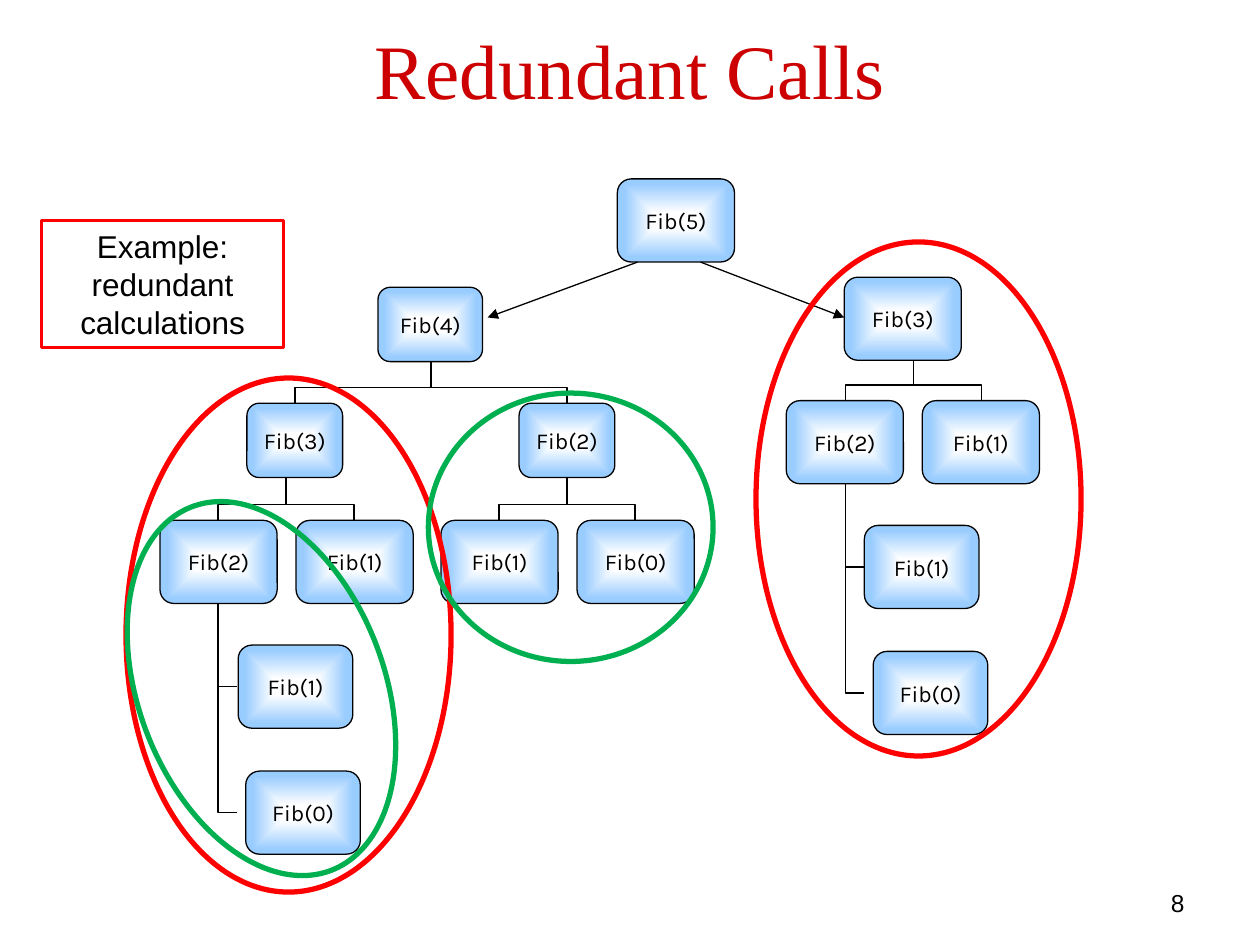
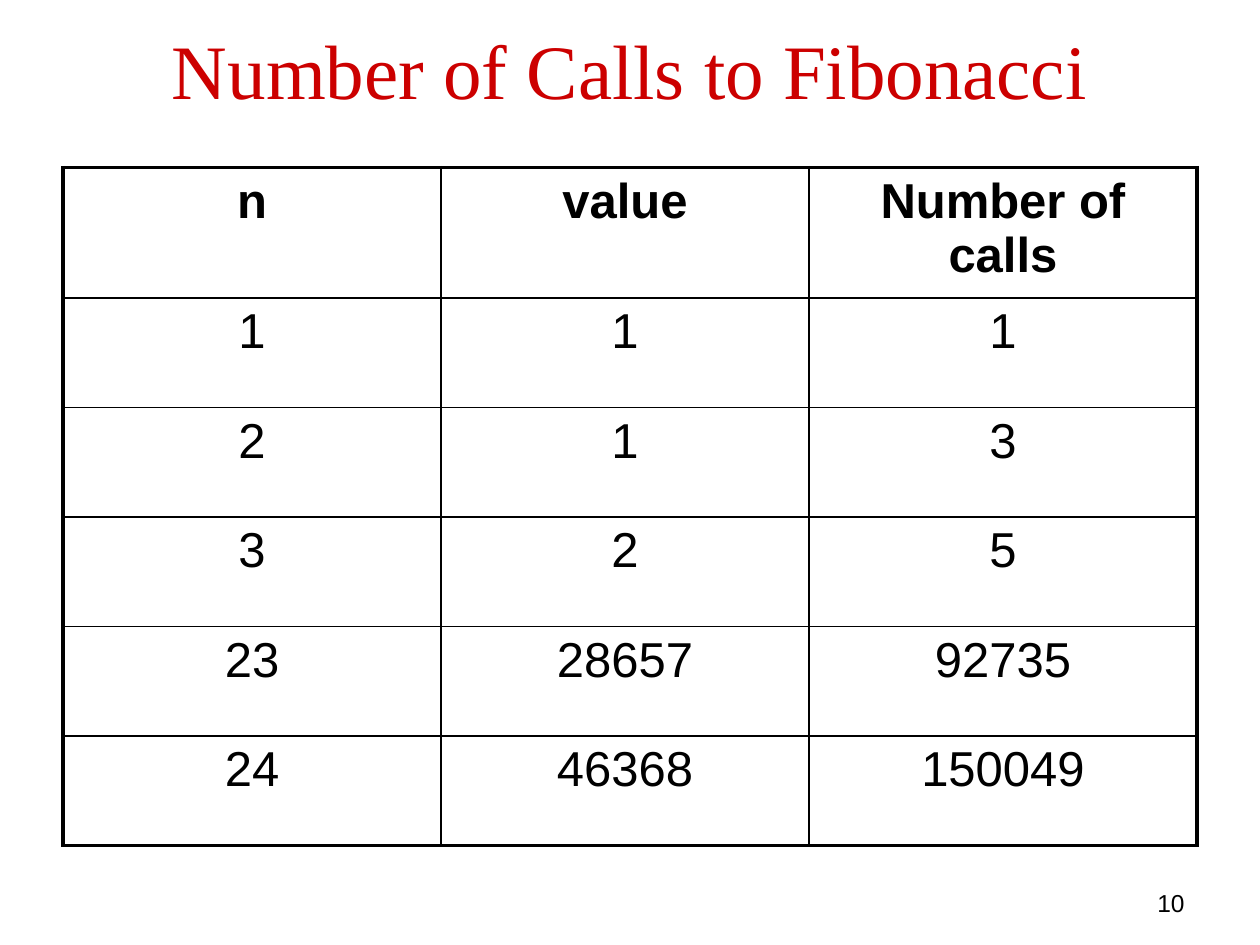
from dataclasses import dataclass

from lxml import etree
from pptx import Presentation
from pptx.dml.color import RGBColor
from pptx.enum.shapes import MSO_CONNECTOR, MSO_SHAPE
from pptx.enum.text import MSO_ANCHOR, MSO_AUTO_SIZE, PP_ALIGN
from pptx.oxml import parse_xml
from pptx.oxml.ns import nsdecls, qn
from pptx.util import Inches, Pt

STRAIGHT, ELBOW = MSO_CONNECTOR.STRAIGHT, MSO_CONNECTOR.ELBOW
OVAL, RECT, ROUNDED = MSO_SHAPE.OVAL, MSO_SHAPE.RECTANGLE, MSO_SHAPE.ROUNDED_RECTANGLE
CENTER, RIGHT = PP_ALIGN.CENTER, PP_ALIGN.RIGHT
MIDDLE = MSO_ANCHOR.MIDDLE
GROW = MSO_AUTO_SIZE.SHAPE_TO_FIT_TEXT
TITLE_ONLY = 5


@dataclass(frozen=True)
class Theme:
    title_color: str = "CC0000"
    ink: str = "000000"
    white: str = "FFFFFF"
    node: str = "99CCFF"
    red: str = "FF0000"
    green: str = "00B050"
    title_font: str = "Times New Roman"
    body_font: str = "Arial"
    node_font: str = "Karla"
    title_size: float = 44
    table_size: float = 28
    callout_size: float = 18
    number_size: float = 14
    node_size: float = 13
    thin: float = 0.75
    grid: float = 1
    frame: float = 2.25
    callout_line: float = 2
    ring_line: float = 3


@dataclass(frozen=True)
class Box:
    left: float
    top: float
    width: float
    height: float

    def emu(self) -> tuple:
        return tuple(Inches(v) for v in (self.left, self.top, self.width, self.height))


@dataclass(frozen=True)
class Node:
    n: int
    box: Box


@dataclass(frozen=True)
class Fork:
    x: float
    top: float
    bottom: float
    spread: float


@dataclass(frozen=True)
class Ring:
    box: Box
    color: str
    rotation: float = 0


T = Theme()

TITLE_BOX = Box(0.5, -0.08, 9, 1.25)
NUMBER_BOX = Box(7.17, 7, 2.33, 0.25)
CALLOUT_BOX = Box(0.33, 1.75, 1.92, 1.01)
TABLE_BOX = Box(0.5, 1.33, 9, 5.22)
COLUMNS = (3, 2.92, 3.08)

W, H, LEAF_W = 0.93, 0.66, 0.91
NODES = (
    Node(4, Box(3, 2.28, 0.83, 0.59)),
    Node(3, Box(1.96, 3.2, 0.76, 0.59)),
    Node(2, Box(4.12, 3.2, 0.76, 0.59)),
    Node(2, Box(1.27, 4.13, W, H)),
    Node(1, Box(2.35, 4.13, W, H)),
    Node(1, Box(3.5, 4.13, W, H)),
    Node(0, Box(4.58, 4.13, W, H)),
    Node(1, Box(1.89, 5.12, LEAF_W, H)),
    Node(0, Box(1.95, 6.12, LEAF_W, H)),
    Node(5, Box(4.9, 1.42, W, H)),
    Node(3, Box(6.7, 2.2, W, H)),
    Node(2, Box(6.24, 3.18, W, H)),
    Node(1, Box(7.32, 3.18, W, H)),
    Node(1, Box(6.86, 4.17, LEAF_W, H)),
    Node(0, Box(6.93, 5.17, LEAF_W, H)),
)
FORKS = (
    Fork(3.42, 2.87, 3.2, 1.08),
    Fork(2.27, 3.79, 4.13, 0.54),
    Fork(4.5, 3.79, 4.13, 0.54),
    Fork(7.25, 2.85, 3.18, 0.54),
)
STEMS = ((1.73, 4.79), (6.71, 3.84))
STEM_REACH = 0.15
STEM_DROPS = (1.66, 0.66)
ARROWS = ((5.06, 2.08, 3.87, 2.52), (5.56, 2.08, 6.7, 2.52))
RED_RINGS = (
    Ring(Box(1, 3, 2.58, 4.08), T.red),
    Ring(Box(6, 1.92, 2.58, 4.08), T.red),
)
GREEN_RINGS = (
    Ring(Box(1.1, 3.92, 1.95, 3.09), T.green, 339),
    Ring(Box(3.4, 3.12, 2.26, 2.13), T.green),
)
CALLS = (
    ("n", "value", "Number of calls"),
    ("1", "1", "1"),
    ("2", "1", "3"),
    ("3", "2", "5"),
    ("23", "28657", "92735"),
    ("24", "46368", "150049"),
)


def write(tf, text: str, font: str, size: float, color: str = T.ink,
          align=CENTER, bold: bool = False) -> None:
    p = tf.paragraphs[0]
    p.alignment = align
    r = p.add_run()
    r.text = text
    r.font.name = font
    r.font.size = Pt(size)
    r.font.bold = bold
    r.font.color.rgb = RGBColor.from_string(color)


def add_base(prs, title: str, number: int):
    s = prs.slides.add_slide(prs.slide_layouts[TITLE_ONLY])
    sp = s.shapes.title
    sp.left, sp.top, sp.width, sp.height = TITLE_BOX.emu()
    sp.text_frame.vertical_anchor = MIDDLE
    write(sp.text_frame, title, T.title_font, T.title_size, T.title_color)
    tf = s.shapes.add_textbox(*NUMBER_BOX.emu()).text_frame
    tf.word_wrap = True
    write(tf, str(number), T.body_font, T.number_size, align=RIGHT)
    return s


def add_outline(s, kind, box: Box, color: str, width: float):
    sp = s.shapes.add_shape(kind, *box.emu())
    sp.shadow.inherit = False
    sp.fill.background()
    sp.line.color.rgb = RGBColor.from_string(color)
    sp.line.width = Pt(width)
    return sp


def add_line(s, kind, x1: float, y1: float, x2: float, y2: float):
    c = s.shapes.add_connector(kind, Inches(x1), Inches(y1), Inches(x2), Inches(y2))
    c.line.color.rgb = RGBColor.from_string(T.ink)
    c.line.width = Pt(T.thin)
    etree.SubElement(c._element.spPr, qn("a:effectLst"))
    return c


def turn(c, degrees: int) -> None:
    c._element.spPr.find(qn("a:xfrm")).set("rot", str(degrees * 60000))


def add_fork(s, fork: Fork) -> None:
    drop = fork.bottom - fork.top
    y = (fork.top + fork.bottom - fork.spread) / 2
    for side, degrees in ((1, 90), (-1, 270)):
        mid = fork.x + side * fork.spread / 2
        c = add_line(s, ELBOW, mid + side * drop / 2, y,
                     mid - side * drop / 2, y + fork.spread)
        turn(c, degrees)
        guides = c._element.spPr.find(qn("a:prstGeom")).get_or_add_avLst()
        etree.SubElement(guides, qn("a:gd"), name="adj1", fmla="val 37700")


def add_stem(s, x: float, y: float) -> None:
    for drop in STEM_DROPS:
        c = add_line(s, ELBOW, x, y, x + STEM_REACH, y + drop)
        turn(c, 180)
        c._element.spPr.find(qn("a:prstGeom")).set("prst", "bentConnector2")


def add_arrow(s, ends: tuple) -> None:
    c = add_line(s, STRAIGHT, *ends)
    etree.SubElement(c.line._get_or_add_ln(), qn("a:tailEnd"), type="triangle")


def add_node(s, node: Node) -> None:
    sp = add_outline(s, ROUNDED, node.box, T.ink, T.thin)
    props = sp._element.spPr
    stops = "".join(f'<a:gs pos="{pos}"><a:srgbClr val="{color}"/></a:gs>'
                    for pos, color in ((19000, T.white), (88000, T.node)))
    props.replace(props.find(qn("a:noFill")), parse_xml(
        f'<a:gradFill {nsdecls("a")}><a:gsLst>{stops}</a:gsLst><a:path path="rect">'
        '<a:fillToRect l="50000" t="50000" r="50000" b="50000"/></a:path></a:gradFill>'))
    tf = sp.text_frame
    tf.margin_left = tf.margin_right = Inches(0.07)
    tf.margin_top = tf.margin_bottom = Inches(0.04)
    tf.vertical_anchor = MIDDLE
    tf.word_wrap = False
    write(tf, f"Fib({node.n})", T.node_font, T.node_size)


def add_ring(s, ring: Ring) -> None:
    sp = add_outline(s, OVAL, ring.box, ring.color, T.ring_line)
    sp.rotation = ring.rotation


def add_callout(s, text: str) -> None:
    sp = add_outline(s, RECT, CALLOUT_BOX, T.red, T.callout_line)
    tf = sp.text_frame
    tf.word_wrap = True
    tf.auto_size = GROW
    write(tf, text, T.body_font, T.callout_size)


def set_borders(cell, outer: dict) -> None:
    props = cell._tc.get_or_add_tcPr()
    for side, is_outer in outer.items():
        width = Pt(T.frame if is_outer else T.grid)
        ln = etree.SubElement(props, qn(f"a:ln{side}"), w=str(width))
        fill = etree.SubElement(ln, qn("a:solidFill"))
        etree.SubElement(fill, qn("a:srgbClr"), val=T.ink)


def add_calls_table(s) -> None:
    last_row, last_col = len(CALLS) - 1, len(COLUMNS) - 1
    table = s.shapes.add_table(len(CALLS), len(COLUMNS), *TABLE_BOX.emu()).table
    table.first_row = table.horz_banding = False
    for column, width in zip(table.columns, COLUMNS):
        column.width = Inches(width)
    for i, row in enumerate(CALLS):
        for j, text in enumerate(row):
            cell = table.cell(i, j)
            set_borders(cell, {"L": j == 0, "R": j == last_col,
                               "T": i == 0, "B": i == last_row})
            cell.fill.background()
            write(cell.text_frame, text, T.body_font, T.table_size, bold=i == 0)


def build_redundant_calls(prs) -> None:
    s = add_base(prs, "Redundant Calls", 8)
    for x, y in STEMS:
        add_stem(s, x, y)
    for fork in FORKS:
        add_fork(s, fork)
    for node in NODES:
        add_node(s, node)
    for ends in ARROWS:
        add_arrow(s, ends)
    for ring in RED_RINGS:
        add_ring(s, ring)
    add_callout(s, "Example: redundant calculations")
    for ring in GREEN_RINGS:
        add_ring(s, ring)


def build_call_counts(prs) -> None:
    s = add_base(prs, "Number of Calls to Fibonacci", 10)
    add_calls_table(s)


def main() -> None:
    prs = Presentation()
    prs.slide_width, prs.slide_height = Inches(10), Inches(7.5)
    build_redundant_calls(prs)
    build_call_counts(prs)
    prs.save("out.pptx")


if __name__ == "__main__":
    main()
